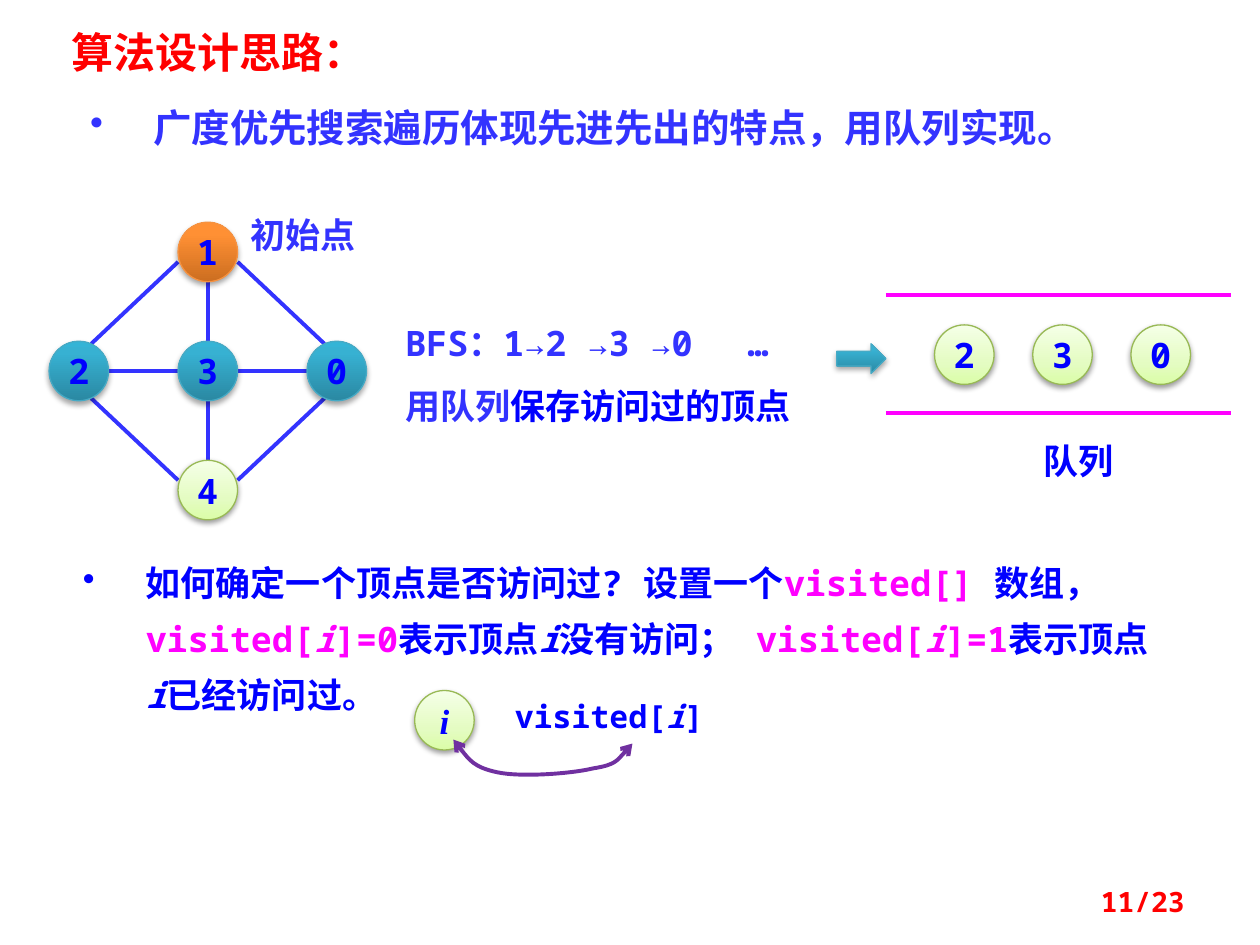
"""Build a slide on breadth-first search: a graph, its queue and the visited array."""
from dataclasses import dataclass
from typing import Any, NamedTuple, Optional

from lxml import etree
from pptx import Presentation
from pptx import util as u
from pptx.dml import color
from pptx.enum import dml, shapes, text
from pptx.oxml import ns


class Skin(NamedTuple):
    stops: tuple[tuple[int, str], ...]
    line: str
    alpha: int
    dist: int


@dataclass(frozen=True)
class Theme:
    red: str = "FF0000"
    blue: str = "0000FF"
    soft: str = "3333FF"
    pink: str = "FF00FF"
    plum: str = "7030A0"
    sans: str = "Noto Sans CJK SC"
    mono: str = "Noto Sans Mono"
    serif: str = "Times New Roman"
    title: int = 24
    lead: int = 22
    body: int = 20
    label: int = 18
    page: int = 16
    rule: float = 2.25
    teal: Skin = Skin(((0, "2A88A2"), (80, "37B1D2"), (100, "34B4D6")), "46AAC5", 35, 23000)
    flame: Skin = Skin(((0, "CC6E20"), (80, "FF9034"), (100, "FF9136")), "F69240", 35, 23000)
    lime: Skin = Skin(((0, "DAFDA7"), (35, "E4FCC2"), (100, "F5FFE7")), "98B955", 38, 20000)


T = Theme()
SIZE = 1.2


@dataclass
class Run:
    text: str
    hue: Optional[str] = None
    slant: bool = False


@dataclass
class Para:
    runs: list[Run]
    hue: str = T.blue
    size: int = T.body
    face: str = T.mono
    slant: bool = False
    align: Any = None
    space: Any = None
    bullet: bool = False
    tab: float = 0


@dataclass
class Box:
    left: float
    top: float
    width: float
    height: float
    paras: list[Para]
    middle: bool = False


@dataclass
class Node:
    x: float
    y: float
    name: str
    skin: Skin
    face: str = T.mono
    slant: bool = False


@dataclass
class Edge:
    x1: float
    y1: float
    x2: float
    y2: float
    hue: str = T.soft


def rgb(hue: str) -> color.RGBColor:
    return color.RGBColor.from_string(hue)


def sub(root: Any, tag: str, **attrs: Any) -> Any:
    return etree.SubElement(root, ns.qn(tag), {k: str(v) for k, v in attrs.items()})


def fill_para(para: Any, data: Para) -> None:
    para.alignment = data.align
    para.line_spacing = data.space
    props = para._p.get_or_add_pPr()
    if data.bullet:
        props.set("marL", str(u.Cm(1.27)))
        props.set("indent", str(u.Cm(-1.27)))
        sub(props, "a:buChar", char="•")
    if data.tab:
        sub(sub(props, "a:tabLst"), "a:tab", pos=u.Cm(data.tab), algn="l")
    font = para.font
    font.name, font.size, font.bold = data.face, u.Pt(data.size), True
    font.italic = data.slant
    font.color.rgb = rgb(data.hue)
    sub(props.find(ns.qn("a:defRPr")), "a:ea", typeface=data.face)
    for item in data.runs:
        run = para.add_run()
        run.text = item.text
        if item.hue:
            run.font.color.rgb = rgb(item.hue)
        if item.slant:
            run.font.italic = True


def add_box(slide: Any, box: Box) -> None:
    shape = slide.shapes.add_textbox(*map(u.Cm, (box.left, box.top, box.width, box.height)))
    frame = shape.text_frame
    frame.word_wrap = True
    if box.middle:
        frame.vertical_anchor = text.MSO_ANCHOR.MIDDLE
    else:
        frame.auto_size = text.MSO_AUTO_SIZE.SHAPE_TO_FIT_TEXT
    for i, data in enumerate(box.paras):
        fill_para(frame.add_paragraph() if i else frame.paragraphs[0], data)


def paint(shape: Any, skin: Skin) -> None:
    shape.fill.gradient()
    shape.fill.gradient_angle = 90
    props = shape._element.spPr
    stops = props.find(ns.qn("a:gradFill")).find(ns.qn("a:gsLst"))
    stops.clear()
    for pos, hue in skin.stops:
        sub(sub(stops, "a:gs", pos=pos * 1000), "a:srgbClr", val=hue)
    shape.line.color.rgb = rgb(skin.line)
    shape.line.width = u.Pt(0.75)
    shape.shadow.inherit = False
    shade = sub(props.find(ns.qn("a:effectLst")), "a:outerShdw", blurRad=40000,
                dist=skin.dist, dir=5400000, rotWithShape=0)
    sub(sub(shade, "a:srgbClr", val="000000"), "a:alpha", val=skin.alpha * 1000)


def add_node(slide: Any, node: Node) -> None:
    spot = (node.x - SIZE / 2, node.y - SIZE / 2, SIZE, SIZE)
    shape = slide.shapes.add_shape(shapes.MSO_SHAPE.OVAL, *map(u.Cm, spot))
    paint(shape, node.skin)
    frame = shape.text_frame
    frame.word_wrap = False
    frame.vertical_anchor = text.MSO_ANCHOR.MIDDLE
    fill_para(frame.paragraphs[0], Para([Run(node.name)], face=node.face, slant=node.slant,
                                        align=text.PP_ALIGN.CENTER))


def add_edge(slide: Any, edge: Edge) -> None:
    ends = map(u.Cm, (edge.x1, edge.y1, edge.x2, edge.y2))
    line = slide.shapes.add_connector(shapes.MSO_CONNECTOR.STRAIGHT, *ends)
    line.line.color.rgb = rgb(edge.hue)
    line.line.width = u.Pt(T.rule)
    sub(line._element.spPr, "a:effectLst")


def add_curve(slide: Any, spots: list[tuple[float, float]], hue: str) -> None:
    first, *rest = [(u.Cm(x), u.Cm(y)) for x, y in spots]
    form = slide.shapes.build_freeform(*first)
    form.add_line_segments(rest, close=False)
    shape = form.convert_to_shape()
    shape.fill.background()
    shape.shadow.inherit = False
    shape.line.color.rgb = rgb(hue)
    shape.line.width = u.Pt(T.rule)
    for tag in ("a:headEnd", "a:tailEnd"):
        sub(shape.line._get_or_add_ln(), tag, type="arrow")
    trail = next(shape._element.iter(ns.qn("a:path")))
    legs = trail.findall(ns.qn("a:lnTo"))
    for i in range(0, len(legs), 3):
        bend = sub(trail, "a:cubicBezTo")
        for leg in legs[i:i + 3]:
            bend.append(leg[0])
            trail.remove(leg)


def main() -> None:
    deck = Presentation()
    deck.slide_width, deck.slide_height = u.Cm(25.4), u.Cm(19.05)
    slide = deck.slides.add_slide(deck.slide_layouts[6])
    mid, right = text.PP_ALIGN.CENTER, text.PP_ALIGN.RIGHT
    x, y, dx, dy, rad = 4.19, 7.48, 2.6, 2.4, SIZE / 2

    edges = [Edge(x + s * rad, y, x + s * (dx - rad), y) for s in (-1, 1)]
    edges += [Edge(x, y + s * rad, x, y + s * (dy - rad)) for s in (-1, 1)]
    edges += [Edge(x + s * rad, y + t * (dy - 0.2), x + s * (dx - 0.25), y + t * 0.55)
              for s in (-1, 1) for t in (-1, 1)]
    edges += [Edge(17.86, row, 24.82, row, T.pink) for row in (5.95, 8.33)]
    nodes = [Node(x + i * dx, y, name, T.teal) for i, name in zip((-1, 0, 1), "230")]
    nodes += [Node(x, y - dy, "1", T.flame), Node(x, y + dy, "4", T.lime)]
    nodes += [Node(19.44 + i * 1.98, 7.15, name, T.lime) for i, name in enumerate("230")]
    nodes.append(Node(8.96, 14.52, "i", T.lime, T.serif, True))
    for edge in edges:
        add_edge(slide, edge)
    for node in nodes:
        add_node(slide, node)
    arrow = slide.shapes.add_shape(shapes.MSO_SHAPE.RIGHT_ARROW,
                                   *map(u.Cm, (16.87, 6.93, 0.99, 0.6)))
    paint(arrow, T.teal)

    rule = [Run("如何确定一个顶点是否访问过? 设置一个"), Run("visited[] ", T.pink), Run("数组， ")]
    for digit, tail in (("0", "没有访问； "), ("1", "已经访问过。")):
        rule += [Run("visited[", T.pink), Run("i", T.pink, True), Run("]=" + digit, T.pink),
                 Run("表示顶点"), Run("i", None, True), Run(tail)]
    boxes = [
        Box(1.19, 0.41, 7.14, 1.27, [Para([Run("算法设计思路：")], T.red, T.title, T.sans)]),
        Box(1.57, 1.98, 20.83, 1.19, [Para([Run("广度优先搜索遍历体现先进先出的特点，用队列实现。")],
                                           T.soft, T.lead, T.sans, bullet=True)]),
        Box(4.62, 4.17, 2.97, 1.12, [Para([Run("初始点")], T.soft, align=mid)]),
        Box(7.92, 5.94, 9.32, 2.67, [
            Para([Run("BFS：1→2 →3 →0\t…")], T.soft, space=1.5, tab=6.9),
            Para([Run("用队列"), Run("保存访问过的顶点", T.blue)], T.soft, space=1.5)]),
        Box(20.45, 8.74, 2.59, 1.12, [Para([Run("队列")], align=mid)]),
        Box(1.42, 10.92, 22.4, 3.56, [Para(rule, space=u.Pt(32), bullet=True)]),
        Box(10.13, 13.92, 4.55, 1.02, [
            Para([Run("visited["), Run("i", None, True), Run("]")], size=T.label)]),
        Box(18.21, 17.65, 5.92, 1.02, [Para([Run("11/23")], T.red, T.page, align=right)], True),
    ]
    for box in boxes:
        add_box(slide, box)
    add_curve(slide, [(9.14, 14.91), (9.35, 15.19), (9.55, 15.47), (10.03, 15.57),
                      (10.49, 15.67), (11.51, 15.6), (11.96, 15.49),
                      (12.42, 15.42), (12.57, 15.19), (12.75, 14.99)], T.plum)
    deck.save("out.pptx")


if __name__ == "__main__":
    main()
